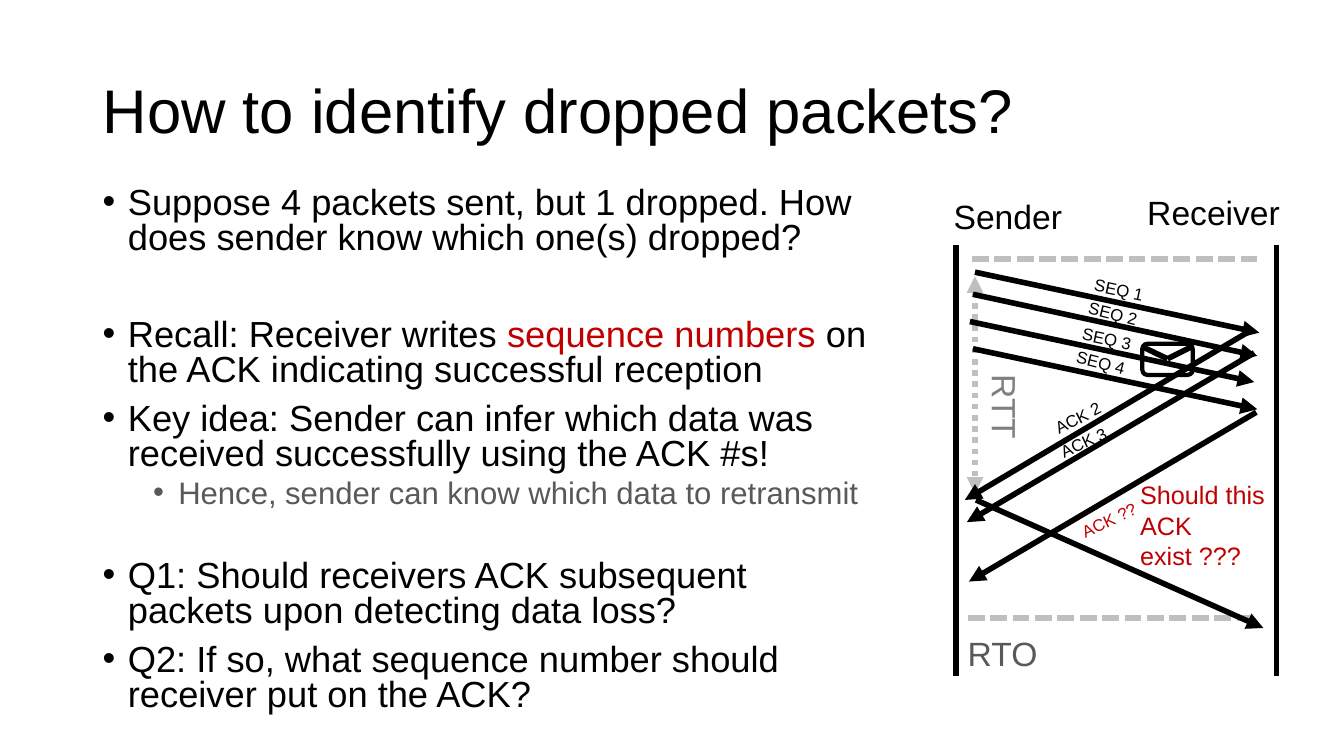
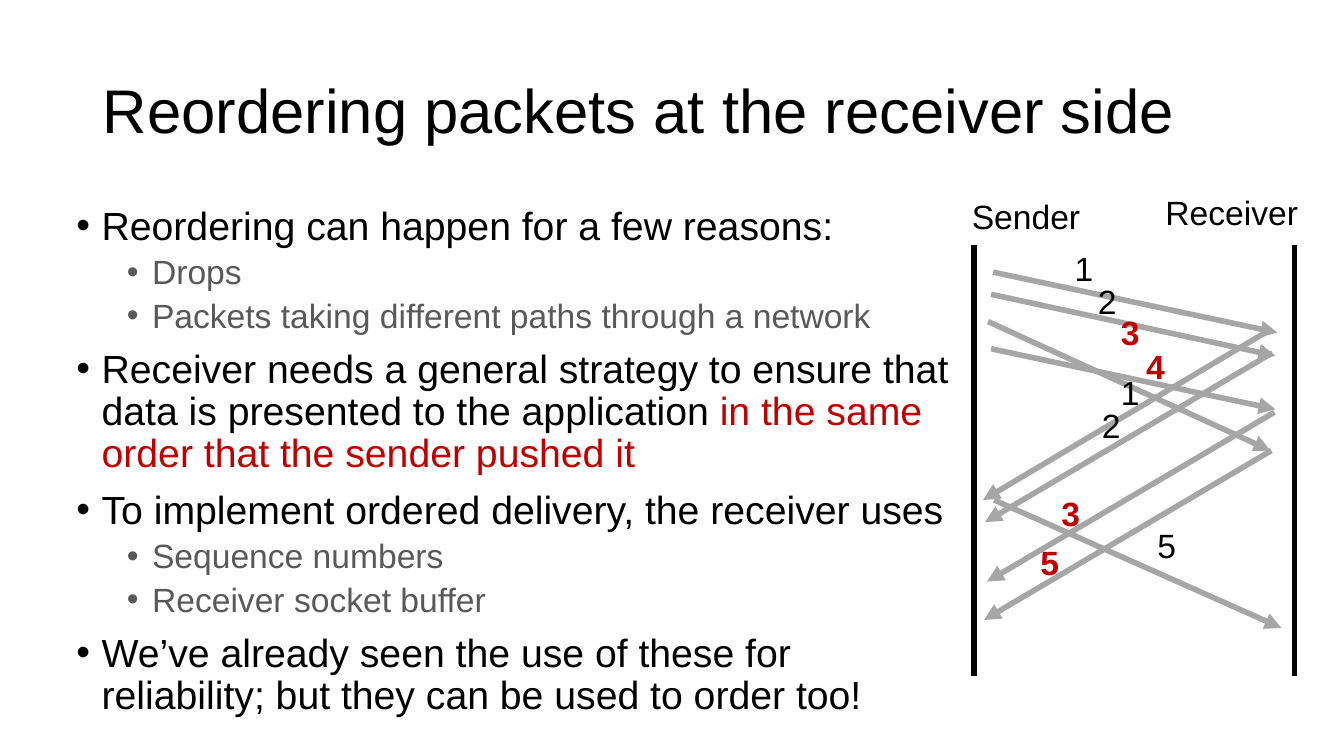
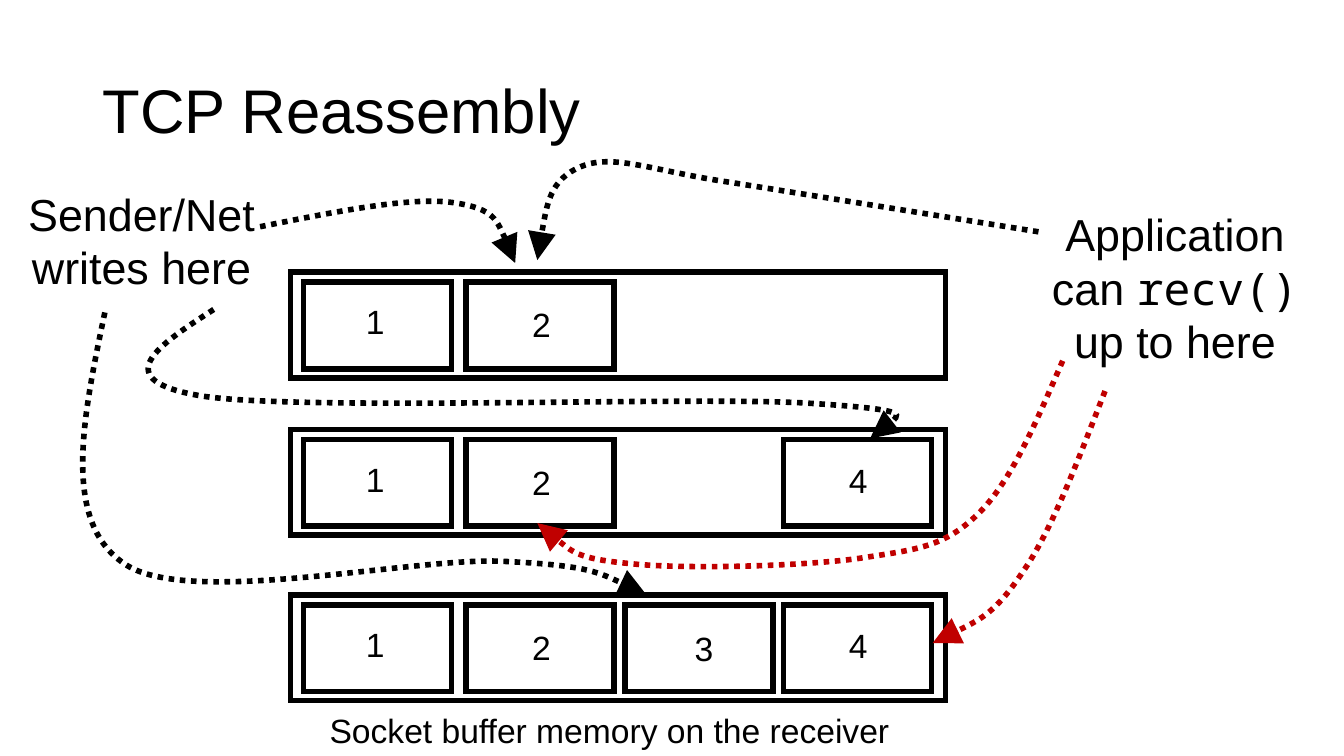
from lxml import etree
from pptx import Presentation
from pptx.dml.color import RGBColor
from pptx.enum.dml import MSO_LINE
from pptx.enum.shapes import MSO_CONNECTOR, MSO_SHAPE
from pptx.enum.text import MSO_ANCHOR, PP_ALIGN
from pptx.oxml.ns import qn
from pptx.util import Inches, Pt

STRAIGHT = MSO_CONNECTOR.STRAIGHT
RECT, ROUND = MSO_SHAPE.RECTANGLE, MSO_SHAPE.ROUNDED_RECTANGLE
DOT, DASH = MSO_LINE.ROUND_DOT, MSO_LINE.SQUARE_DOT
MIDDLE, CENTER = MSO_ANCHOR.MIDDLE, PP_ALIGN.CENTER

COLORS = {"ink": "000000", "red": "C00000", "sub": "595959", "mid": "808080",
          "gray": "A6A6A6", "pale": "BFBFBF"}
SANS, MONO = "Arial", "Noto Sans Mono"
RED = {"color": "red"}

# Arrows of the packet exchange, as x1, y1, x2, y2
ARROWS = [
    (9.67, 2.7, 12.49, 3.3), (12.44, 3.5, 9.59, 5.18),
    (9.68, 4.96, 12.53, 6.23), (9.65, 2.92, 12.47, 3.53),
    (9.65, 3.46, 12.47, 4.06), (12.42, 3.27, 9.57, 4.96),
    (12.46, 4.09, 9.61, 5.77),
]


def rgb(name):
    return RGBColor.from_string(COLORS[name])


def add_node(parent, tag, **values):
    node = etree.SubElement(parent, qn(tag))
    for key, value in values.items():
        node.set(key, str(value))
    return node


# Text
def write(para, runs, size, color="ink"):
    """Add runs, each a string or a (string, format) pair."""
    for item in [runs] if isinstance(runs, str) else runs:
        words, extra = (item, {}) if isinstance(item, str) else item
        look = {"name": SANS, "size": Pt(size), "color": color, **extra}
        run = para.add_run()
        run.text = words
        run.font.color.rgb = rgb(look.pop("color"))
        for key, value in look.items():
            setattr(run.font, key, value)


def add_box(shapes, x, y, w, h):
    box = shapes.add_textbox(Inches(x), Inches(y), Inches(w), Inches(h))
    box.text_frame.word_wrap = True
    return box


def label(shapes, runs, x, y, w, h=0.5, size=24, color="ink", turn=0, align=None):
    box = add_box(shapes, x, y, w, h)
    box.rotation = turn
    para = box.text_frame.paragraphs[0]
    para.alignment = align
    write(para, runs, size, color)


def title(shapes, words):
    frame = add_box(shapes, 0.92, 0.4, 11.5, 1.45).text_frame
    frame.vertical_anchor = MIDDLE
    frame.paragraphs[0].line_spacing = 0.9
    write(frame.paragraphs[0], words, 44)


def bullets(shapes, spot, items, sizes, pitch):
    """Items are (level, runs) with an optional gap before, in points."""
    frame = add_box(shapes, *spot).text_frame
    for i, (level, runs, *gap) in enumerate(items):
        para = frame.add_paragraph() if i else frame.paragraphs[0]
        space = gap[0] if gap else (10, 5)[level]
        look = {"level": level, "line_spacing": pitch,
                "space_before": Pt(space if i else 0)}
        for key, value in look.items():
            setattr(para, key, value)
        props = para._p.get_or_add_pPr()
        props.set("marL", str(Inches(0.25 + 0.5 * level)))
        props.set("indent", str(Inches(-0.25)))
        add_node(props, "a:buFont", typeface=SANS)
        add_node(props, "a:buChar", char="•")
        write(para, runs, sizes[level], ("ink", "sub")[level])


# Lines and shapes
def stroke(shape, color="ink", width=4, dash=None, ends=(), head="med"):
    line = shape.line
    line.color.rgb = rgb(color)
    line.width = Pt(width)
    if dash:
        line.dash_style = dash
    node = shape._element.spPr.find(qn("a:ln"))
    add_node(node, "a:miter", lim=800000)
    for end in ends:
        add_node(node, f"a:{end}End", type="triangle", w=head, len=head)


def rule(shapes, x1, y1, x2, y2, **look):
    line = shapes.add_connector(STRAIGHT, *map(Inches, (x1, y1, x2, y2)))
    stroke(line, **look)
    add_node(line._element.spPr, "a:effectLst")


def frame_box(shapes, x, y, w, h, kind=RECT, width=4):
    shape = shapes.add_shape(kind, *map(Inches, (x, y, w, h)))
    shape.shadow.inherit = False
    shape.fill.background()
    stroke(shape, width=width)


def bend(a, b, c, d, steps=40):
    """Points along a cubic curve, to find how far it reaches."""
    for i in range(1, steps + 1):
        t = i / steps
        u = 1 - t
        parts = (u ** 3, 3 * u * u * t, 3 * u * t * t, t ** 3)
        yield tuple(sum(k * p[n] for k, p in zip(parts, (a, b, c, d)))
                    for n in (0, 1))


def curve(shapes, start, *legs, color="ink"):
    """Dotted arrow; a leg is one point (straight) or three (curved)."""
    reach = [start]
    for leg in legs:
        reach += leg if len(leg) == 1 else bend(reach[-1], *leg)
    xs, ys = zip(*reach)
    left, top = Inches(min(xs)), Inches(min(ys))
    pen = shapes.build_freeform(left, top)
    pen.add_line_segments([(Inches(max(xs)), Inches(max(ys)))], close=False)
    shape = pen.convert_to_shape()
    # Swap the diagonal of the frame for the curved legs
    track = next(shape._element.iter(qn("a:path")))
    for node in list(track):
        track.remove(node)
    for leg in [[start], *legs]:
        tag = "a:cubicBezTo" if len(leg) == 3 else "a:lnTo"
        step = add_node(track, tag if len(track) else "a:moveTo")
        for x, y in leg:
            add_node(step, "a:pt", x=Inches(x) - left, y=Inches(y) - top)
    shape.shadow.inherit = False
    shape.fill.background()
    stroke(shape, color, dash=DOT, ends=["tail"], head="lg")


# Sender and receiver time lines with their arrows
def ladder(shapes, arrows, color="ink", dx=0):
    for x in (9.48, 12.66):
        rule(shapes, x + dx, 2.43, x + dx, 6.71)
    label(shapes, "Sender", 9.36 + dx, 1.89, 1.51)
    label(shapes, "Receiver", 11.28 + dx, 1.85, 1.68)
    for x1, y1, x2, y2 in arrows:
        rule(shapes, x1 + dx, y1, x2 + dx, y2, color=color, ends=["tail"])


def drops(shapes):
    title(shapes, "How to identify dropped packets?")
    bullets(shapes, (0.92, 1.81, 7.87, 5.69), [
        (0, "Suppose 4 packets sent, but 1 dropped. How does sender know "
            "which one(s) dropped?"),
        (0, ["Recall: Receiver writes ", ("sequence numbers ", RED),
             "on the ACK indicating successful reception"], 45),
        (0, "Key idea: Sender can infer which data was received "
            "successfully using the ACK #s!"),
        (1, "Hence, sender can know which data to retransmit"),
        (0, "Q1: Should receivers ACK subsequent packets upon detecting "
            "data loss?", 36.3),
        (0, "Q2: If so, what sequence number should receiver put on the ACK?"),
    ], (25.9, 22.2), 0.8)

    # Time marks
    rule(shapes, 9.6, 6.13, 12.45, 6.13, color="pale", dash=DASH)
    rule(shapes, 9.64, 2.57, 12.49, 2.57, color="pale", dash=DASH)
    rule(shapes, 9.67, 2.74, 9.67, 4.9, color="pale", dash=DOT,
         ends=["head", "tail"])
    label(shapes, "RTT", 9.42, 3.92, 1.1, color="mid", turn=90)
    label(shapes, "RTO", 9.5, 6.23, 1.1, color="sub")
    ladder(shapes, ARROWS + [(9.62, 3.19, 12.44, 3.79)])

    # Envelope on the lost packet
    mail = shapes.add_group_shape().shapes
    frame_box(mail, 11.33, 3.41, 0.5, 0.31, ROUND, 3)
    rule(mail, 11.33, 3.44, 11.58, 3.56)
    rule(mail, 11.58, 3.56, 11.82, 3.44)

    # Arrow labels
    label(shapes, "Should this ACK exist ???", 11.21, 4.71, 1.53, 1.01, 18, "red")
    tags = [(f"SEQ {i + 1}", 10.75 - 0.06 * i, 2.76 + 0.243 * i,
             (11.9, 14.2)[i % 2], "ink") for i in range(4)]
    tags += [("ACK 2", 10.33, 3.91, 333, "ink"),
             ("ACK 3", 10.39, 4.16, 335.2, "ink"),
             ("ACK ??", 10.6, 4.95, 335.2, "red")]
    for words, x, y, turn, color in tags:
        label(shapes, words, x, y, 1.05, 0.3, 12, color, turn)


def order(shapes):
    title(shapes, "Reordering packets at the receiver side")
    bullets(shapes, (0.66, 2, 8.87, 5.34), [
        (0, "Reordering can happen for a few reasons:"),
        (1, "Drops"),
        (1, "Packets taking different paths through a network"),
        (0, ["Receiver needs a general strategy to ensure that data is "
             "presented to the application ",
             ("in the same order that the sender pushed it", RED)]),
        (0, "To implement ordered delivery, the receiver uses"),
        (1, "Sequence numbers"),
        (1, "Receiver socket buffer"),
        (0, "We’ve already seen the use of these for reliability; but they "
            "can be used to order too!"),
    ], (28, 24), 0.9)
    late = [(9.62, 3.19, 12.42, 4.47), (12.43, 4.47, 9.58, 6.15)]
    ladder(shapes, ARROWS + late, "gray", 0.18)

    # Packet numbers
    for digit, x, y in [("1", 10.56, 2.41), ("2", 10.79, 2.74),
                        ("1", 11.02, 3.64), ("2", 10.83, 3.97),
                        ("5", 11.38, 5.16)]:
        label(shapes, digit, x, y, 0.74)
    for digit, x, y in [("3", 11.02, 3.05), ("4", 11.27, 3.38),
                        ("3", 10.43, 4.84), ("5", 10.22, 5.33)]:
        label(shapes, [(digit, {"bold": True})], x, y, 0.74, color="red")


def rebuild(shapes):
    title(shapes, "TCP Reassembly")

    # Buffers: cell left, number left, number drop below the buffer top
    cells = {1: (3.01, 3.53, 0.24), 2: (4.62, 5.18, 0.27),
             3: (6.2, 6.79, 0.28), 4: (7.77, 8.32, 0.25)}
    for top, filled in [(2.7, (1, 2)), (4.26, (1, 2, 4)), (5.9, (1, 2, 3, 4))]:
        frame_box(shapes, 2.88, top, 6.5, 1.05)
        for digit in filled:
            left, text_x, drop = cells[digit]
            frame_box(shapes, left, top + 0.1, 1.47, 0.86)
            label(shapes, str(digit), text_x, top + drop, 0.81)

    # Captions
    label(shapes, ["Application can ", ("recv()", {"name": MONO}), " up to here"],
          10.32, 2, 2.67, 1.72, 32, align=CENTER)
    label(shapes, "Sender/Net writes here", 0.14, 1.8, 2.53, 1.18, 32,
          align=CENTER)
    label(shapes, "Socket buffer memory on the receiver", 3.17, 6.99, 7.78)

    # Pointers into the buffers
    curve(shapes, (2.58, 2.25),
          [(3.33, 2.1), (4.07, 1.95), (4.49, 2.01)],
          [(4.92, 2.07), (5.01, 2.34), (5.11, 2.61)])
    curve(shapes, (10.3, 2.3), [(7.25, 1.81)],
          [(6.49, 1.7), (6.09, 1.52), (5.77, 1.65)],
          [(5.45, 1.78), (5.39, 2.18), (5.33, 2.58)])
    curve(shapes, (2.12, 3.07),
          [(1.58, 3.42), (1.03, 3.77), (2.01, 3.93)],
          [(3, 4.08), (6.92, 3.93), (8.02, 4)],
          [(9.13, 4.07), (8.88, 4.21), (8.63, 4.35)])
    curve(shapes, (10.54, 3.58),
          [(10.28, 4.18), (10.03, 4.78), (9.7, 5.1)],
          [(9.36, 5.43), (9.1, 5.45), (8.52, 5.54)],
          [(7.94, 5.62), (6.76, 5.65), (6.23, 5.59)],
          [(5.7, 5.54), (5.52, 5.36), (5.33, 5.19)], color="red")
    curve(shapes, (1.04, 3.1),
          [(0.82, 4.15), (0.6, 5.2), (1.26, 5.61)],
          [(1.92, 6.02), (4.14, 5.52), (5, 5.57)],
          [(5.86, 5.61), (6.13, 5.76), (6.41, 5.9)])
    curve(shapes, (10.96, 3.88),
          [(10.69, 4.57), (10.43, 5.27), (10.14, 5.68)],
          [(9.86, 6.1), (9.55, 6.24), (9.25, 6.38)], color="red")


def main():
    deck = Presentation()
    deck.slide_width, deck.slide_height = Inches(13.33), Inches(7.5)
    for build in (drops, order, rebuild):
        build(deck.slides.add_slide(deck.slide_layouts[6]).shapes)
    deck.save("out.pptx")


if __name__ == "__main__":
    main()
